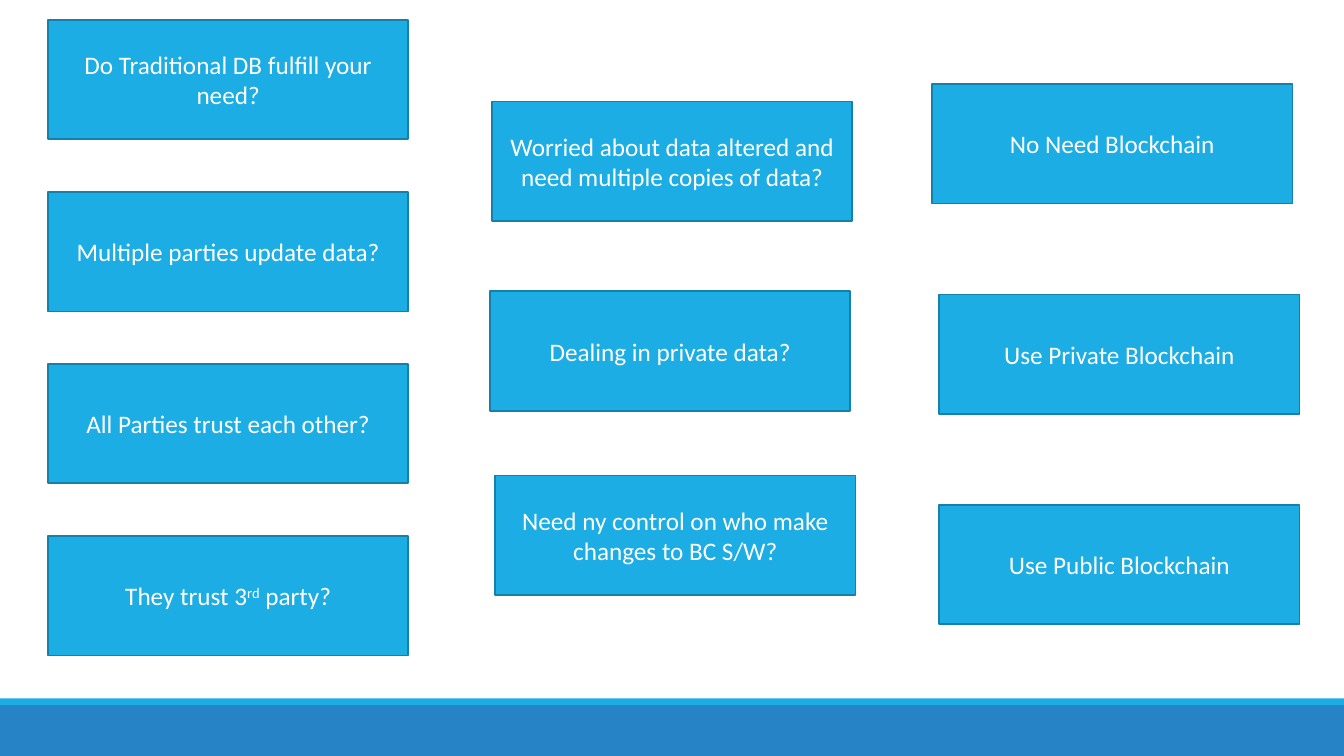
from pptx import Presentation
from pptx.dml.color import RGBColor
from pptx.enum.shapes import MSO_SHAPE
from pptx.enum.text import MSO_ANCHOR, PP_ALIGN
from pptx.util import Cm, Pt

SKY = RGBColor(0x1C, 0xAD, 0xE4)
BLUE = RGBColor(0x26, 0x83, 0xC6)
EDGE = RGBColor(0x15, 0x80, 0xA9)
WHITE = RGBColor(0xFF, 0xFF, 0xFF)

SLIDE_W, SLIDE_H = 33.87, 19.05
BOX_W, BOX_H = 9.08, 3.01

PARTY_QUESTIONS = [
    (0, 0, ["Do Traditional DB fulfill your need?"]),
    (0, 4.34, ["Multiple parties update data?"]),
    (0, 8.67, ["All Parties trust each other?"]),
    (0, 13.01, ["They trust 3", "rd", " party?"]),
]
OUTCOMES = [
    (0, 0, ["No Need Blockchain"]),
    (0.18, 5.3, ["Use Private Blockchain"]),
    (0.18, 10.6, ["Use Public Blockchain"]),
]
DATA_QUESTIONS = [
    (0.05, 0, ["Worried about data altered and need multiple copies of data?"]),
    (0, 4.78, ["Dealing in private data?"]),
    (0.13, 9.42, ["Need ny control on who make changes to BC S/W?"]),
]


def add_block(s, shape, left, top, width, height, fill):
    """Add a filled shape without line or shadow, measured in centimetres."""
    sp = s.shapes.add_shape(shape, Cm(left), Cm(top), Cm(width), Cm(height))
    sp.shadow.inherit = False
    sp.fill.solid()
    sp.fill.fore_color.rgb = fill
    sp.line.fill.background()
    return sp


def add_process(s, left, top, texts):
    """Add one process box whose second run, if any, is superscript."""
    sp = add_block(s, MSO_SHAPE.FLOWCHART_PROCESS, left, top, BOX_W, BOX_H, SKY)
    sp.line.color.rgb = EDGE
    sp.line.width = Pt(1.25)
    tf = sp.text_frame
    tf.word_wrap = True
    tf.vertical_anchor = MSO_ANCHOR.MIDDLE
    p = tf.paragraphs[0]
    p.alignment = PP_ALIGN.CENTER
    for i, text in enumerate(texts):
        r = p.add_run()
        r.text = text
        r.font.name = "Calibri"
        r.font.size = Pt(18)
        r.font.color.rgb = WHITE
        if i == 1:
            r.font._element.set("baseline", "30000")


def add_column(s, left, top, boxes):
    """Place a column of process boxes by their offsets from its corner."""
    for dx, dy, texts in boxes:
        add_process(s, left + dx, top + dy, texts)


def add_footer(s, top, height, stripe):
    """Draw the footer band with a thin stripe along its top."""
    add_block(s, MSO_SHAPE.RECTANGLE, 0, top + stripe, SLIDE_W, height - stripe, BLUE)
    add_block(s, MSO_SHAPE.RECTANGLE, 0, top, SLIDE_W, stripe, SKY)


def main():
    """Build the blockchain decision slide and save it."""
    prs = Presentation()
    prs.slide_width, prs.slide_height = Cm(SLIDE_W), Cm(SLIDE_H)
    s = prs.slides.add_slide(prs.slide_layouts[6])
    add_footer(s, 17.6, SLIDE_H - 17.6, 0.17)
    add_column(s, 1.21, 0.5, PARTY_QUESTIONS)
    add_column(s, 23.49, 2.12, OUTCOMES)
    add_column(s, 12.35, 2.56, DATA_QUESTIONS)
    prs.save("out.pptx")


if __name__ == "__main__":
    main()
